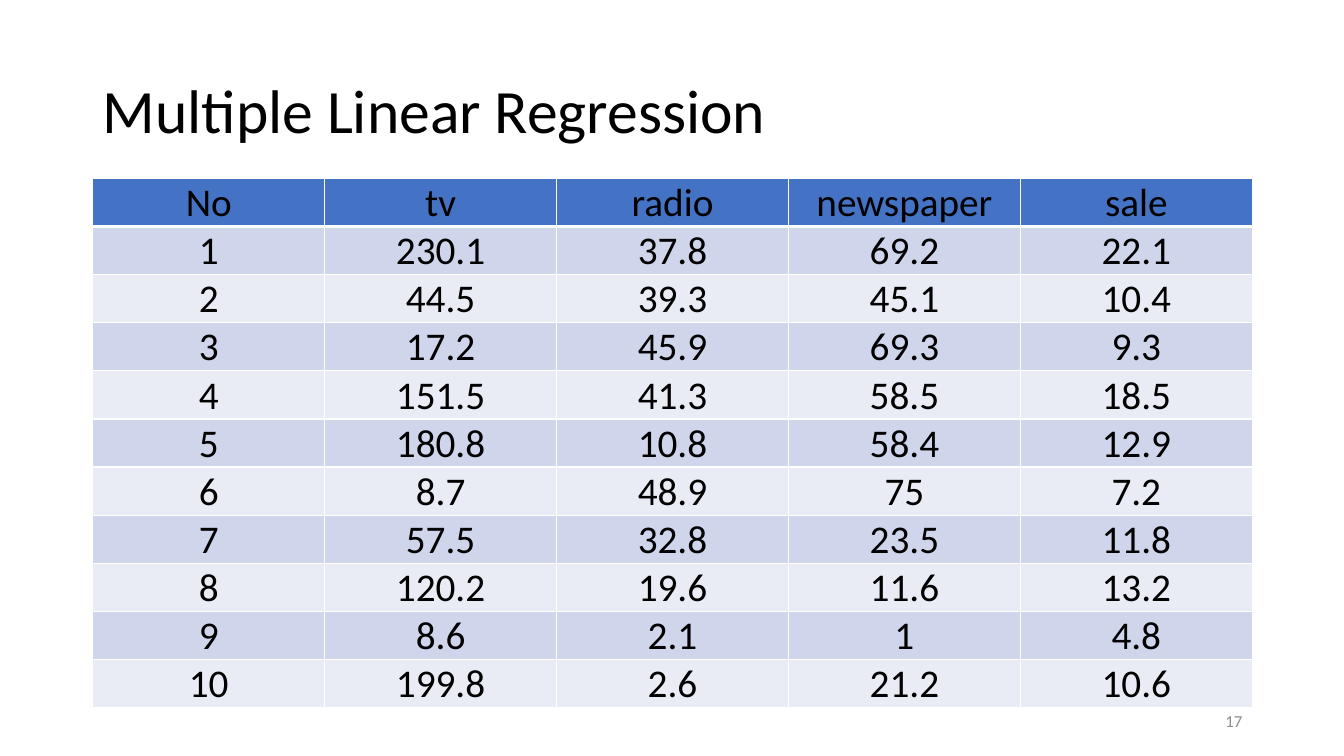
"""Build the Multiple Linear Regression slide with its advertising data table."""
from lxml import etree
from pptx import Presentation
from pptx.dml.color import RGBColor
from pptx.enum.text import MSO_ANCHOR, PP_ALIGN
from pptx.oxml.ns import qn
from pptx.util import Inches, Pt

LEFT, CENTER, RIGHT = PP_ALIGN.LEFT, PP_ALIGN.CENTER, PP_ALIGN.RIGHT
MIDDLE, BOTTOM = MSO_ANCHOR.MIDDLE, MSO_ANCHOR.BOTTOM
FONT = "Calibri"
COLORS = {
    "text": "000000",
    "number": "8C8C8C",
    "header": "4472C4",
    "odd": "CFD5EA",
    "even": "E9EBF5",
    "border": "FFFFFF",
}
HEADINGS = ["No", "tv", "radio", "newspaper", "sale"]
SALES = [
    (230.1, 37.8, 69.2, 22.1),
    (44.5, 39.3, 45.1, 10.4),
    (17.2, 45.9, 69.3, 9.3),
    (151.5, 41.3, 58.5, 18.5),
    (180.8, 10.8, 58.4, 12.9),
    (8.7, 48.9, 75, 7.2),
    (57.5, 32.8, 23.5, 11.8),
    (120.2, 19.6, 11.6, 13.2),
    (8.6, 2.1, 1, 4.8),
    (199.8, 2.6, 21.2, 10.6),
]


def style_paragraph(paragraph, size, color, align):
    """Set the alignment and font of a paragraph."""
    paragraph.alignment = align
    paragraph.font.name = FONT
    paragraph.font.size = Pt(size)
    paragraph.font.color.rgb = RGBColor.from_string(COLORS[color])


def add_label(slide, text, box, size, color, align):
    """Add a vertically centred line of text and return its paragraph."""
    frame = slide.shapes.add_textbox(*map(Inches, box)).text_frame
    frame.word_wrap = True
    frame.vertical_anchor = MIDDLE
    paragraph = frame.paragraphs[0]
    paragraph.text = text
    style_paragraph(paragraph, size, color, align)
    return paragraph


def add_borders(cell, top, bottom):
    """Draw the four cell borders, with top and bottom widths in points."""
    properties = cell._tc.get_or_add_tcPr()
    for side, width in (("L", 1), ("R", 1), ("T", top), ("B", bottom)):
        line = etree.SubElement(properties, qn(f"a:ln{side}"), w=str(Pt(width)))
        fill = etree.SubElement(line, qn("a:solidFill"))
        etree.SubElement(fill, qn("a:srgbClr"), val=COLORS["border"])


def fill_cell(cell, text, row):
    """Write and style one cell according to its row."""
    cell.margin_left = cell.margin_right = cell.margin_top = Inches(0.01)
    cell.margin_bottom = 0
    cell.vertical_anchor = BOTTOM
    add_borders(cell, 3 if row == 1 else 1, 3 if row == 0 else 1)
    band = "header" if row == 0 else "odd" if row % 2 else "even"
    cell.fill.solid()
    cell.fill.fore_color.rgb = RGBColor.from_string(COLORS[band])
    cell.text = str(text)
    style_paragraph(cell.text_frame.paragraphs[0], 28, "text", CENTER)


def add_sales_table(slide):
    """Add the table of numbered observations."""
    rows = [HEADINGS] + [(number, *values) for number, values in enumerate(SALES, 1)]
    table = slide.shapes.add_table(
        len(rows), len(HEADINGS),
        Inches(0.92), Inches(1.77), Inches(11.5), Inches(5.25),
    ).table
    for row, values in enumerate(rows):
        for column, value in enumerate(values):
            fill_cell(table.cell(row, column), value, row)


def main():
    """Create and save the slide."""
    deck = Presentation()
    deck.slide_width, deck.slide_height = Inches(13.33), Inches(7.5)
    slide = deck.slides.add_slide(deck.slide_layouts[6])
    title = add_label(slide, "Multiple Linear Regression",
                      (0.92, 0.4, 11.5, 1.45), 44, "text", LEFT)
    title.line_spacing = 0.9
    add_sales_table(slide)
    add_label(slide, "17", (9.42, 6.95, 3, 0.4), 12, "number", RIGHT)
    deck.save("out.pptx")


if __name__ == "__main__":
    main()
